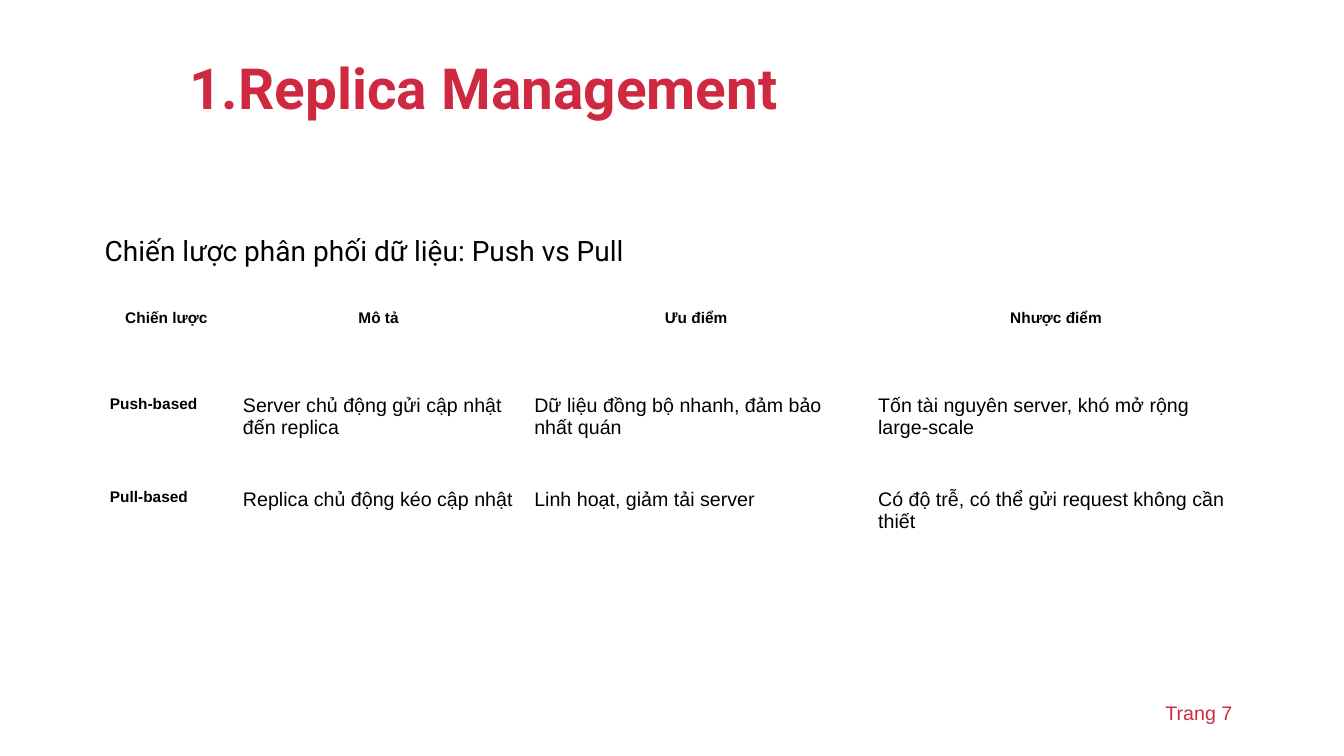
from dataclasses import dataclass

from pptx import Presentation
from pptx.dml.color import RGBColor
from pptx.enum.text import MSO_ANCHOR, PP_ALIGN
from pptx.util import Inches, Pt


@dataclass(frozen=True)
class Theme:
    red: str = "CF2941"
    black: str = "000000"
    head: str = "Roboto"
    body: str = "Arial"
    title: float = 40.5
    lead: float = 20
    text: float = 14
    label: float = 11


def assign(target, values):
    for name, value in values.items():
        setattr(target, name, value)


class Page:
    def __init__(self, deck, theme):
        self.theme = theme
        self.slide = deck.slides.add_slide(deck.slide_layouts[6])

    def label(self, frame, text, size, face, color, bold=False, **form):
        para = frame.paragraphs[0]
        assign(para, form)
        run = para.add_run()
        run.text = text
        assign(run.font, {"size": Pt(size), "name": face, "bold": bold})
        run.font.color.rgb = RGBColor.from_string(color)

    def box(self, area, text, size, face, color, anchor=MSO_ANCHOR.TOP, **form):
        frame = self.slide.shapes.add_textbox(*map(Inches, area)).text_frame
        assign(frame, {"word_wrap": True, "vertical_anchor": anchor})
        self.label(frame, text, size, face, color, **form)

    def grid(self, left, top, widths, heights, rows):
        theme = self.theme
        area = map(Inches, (left, top, sum(widths), sum(heights)))
        table = self.slide.shapes.add_table(len(rows), len(widths), *area).table
        assign(table, {"first_row": False, "horz_banding": False})
        for column, width in zip(table.columns, widths):
            column.width = Inches(width)
        for line, height in zip(table.rows, heights):
            line.height = Inches(height)
        sides = ("left", "right", "top", "bottom")
        pad = {f"margin_{side}": Inches(0.1) for side in sides}
        center = {"alignment": PP_ALIGN.CENTER, "line_spacing": 1.15}
        for r, row in enumerate(rows):
            for c, text in enumerate(row):
                cell = table.cell(r, c)
                assign(cell, pad)
                cell.fill.background()
                strong = r == 0 or c == 0
                size = theme.label if strong else theme.text
                form = center if r == 0 else {}
                self.label(cell.text_frame, text, size, theme.body,
                           theme.black, bold=strong, **form)


def main():
    deck = Presentation()
    assign(deck, {"slide_width": Inches(13.33), "slide_height": Inches(7.5)})
    theme = Theme()
    page = Page(deck, theme)
    page.box((11.46, 6.9, 1.61, 0.34), "Trang 7", theme.text, theme.body, theme.red)
    page.box((1.78, 0.4, 10.64, 0.82), "1.Replica Management", theme.title,
             theme.head, theme.red, MSO_ANCHOR.MIDDLE, bold=True,
             line_spacing=1.15, space_after=Pt(3))
    page.box((0.94, 2.2, 11.45, 0.44), "Chiến lược phân phối dữ liệu: Push vs Pull",
             theme.lead, theme.head, theme.black, line_spacing=1.2)
    page.grid(0.99, 2.95, (1.32, 2.89, 3.41, 3.73), (0.87, 0.93, 0.93), (
        ("Chiến lược", "Mô tả", "Ưu điểm", "Nhược điểm"),
        ("Push-based", "Server chủ động gửi cập nhật đến replica",
         "Dữ liệu đồng bộ nhanh, đảm bảo nhất quán",
         "Tốn tài nguyên server, khó mở rộng large-scale"),
        ("Pull-based", "Replica chủ động kéo cập nhật",
         "Linh hoạt, giảm tải server",
         "Có độ trễ, có thể gửi request không cần thiết"),
    ))
    deck.save("out.pptx")


if __name__ == "__main__":
    main()
